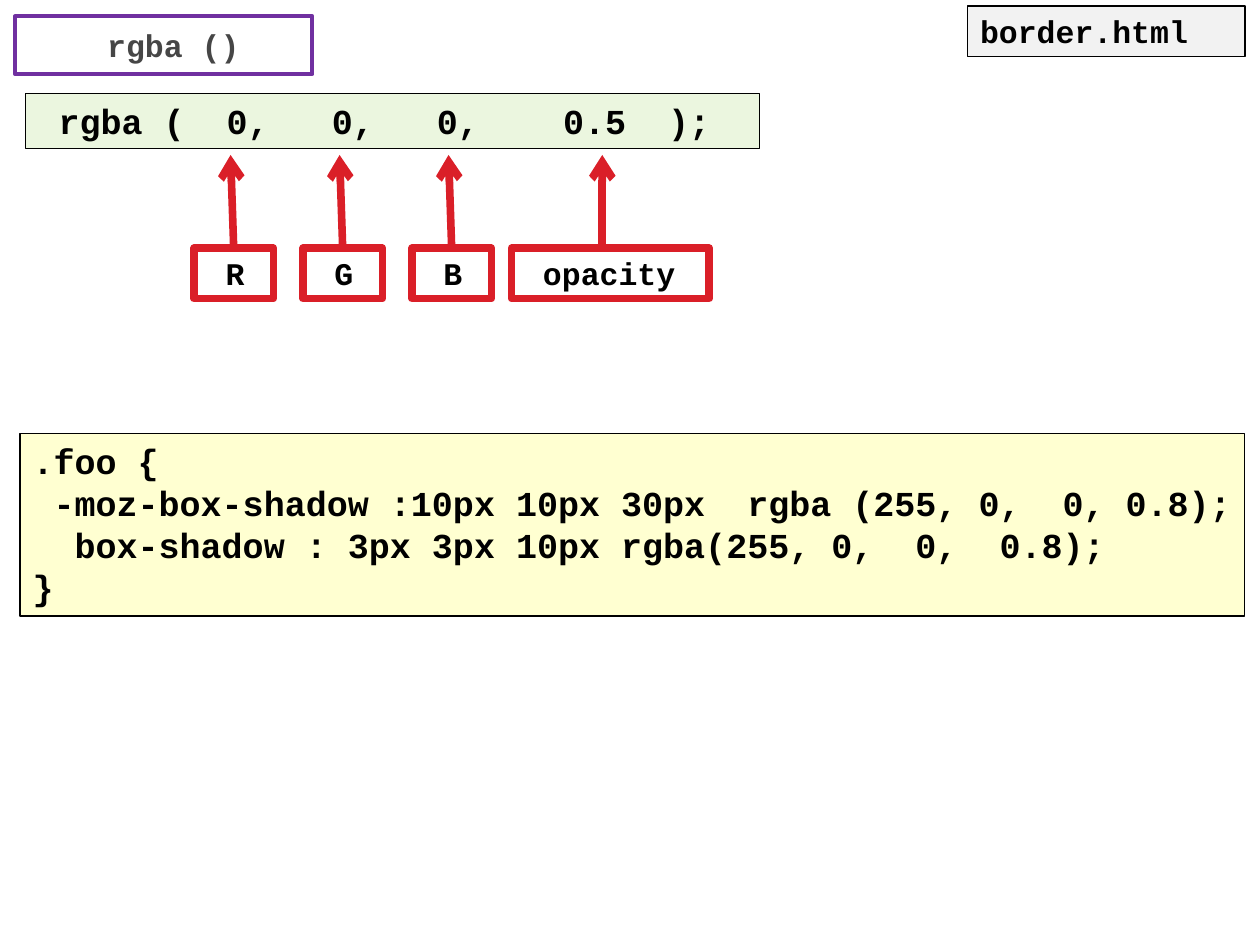
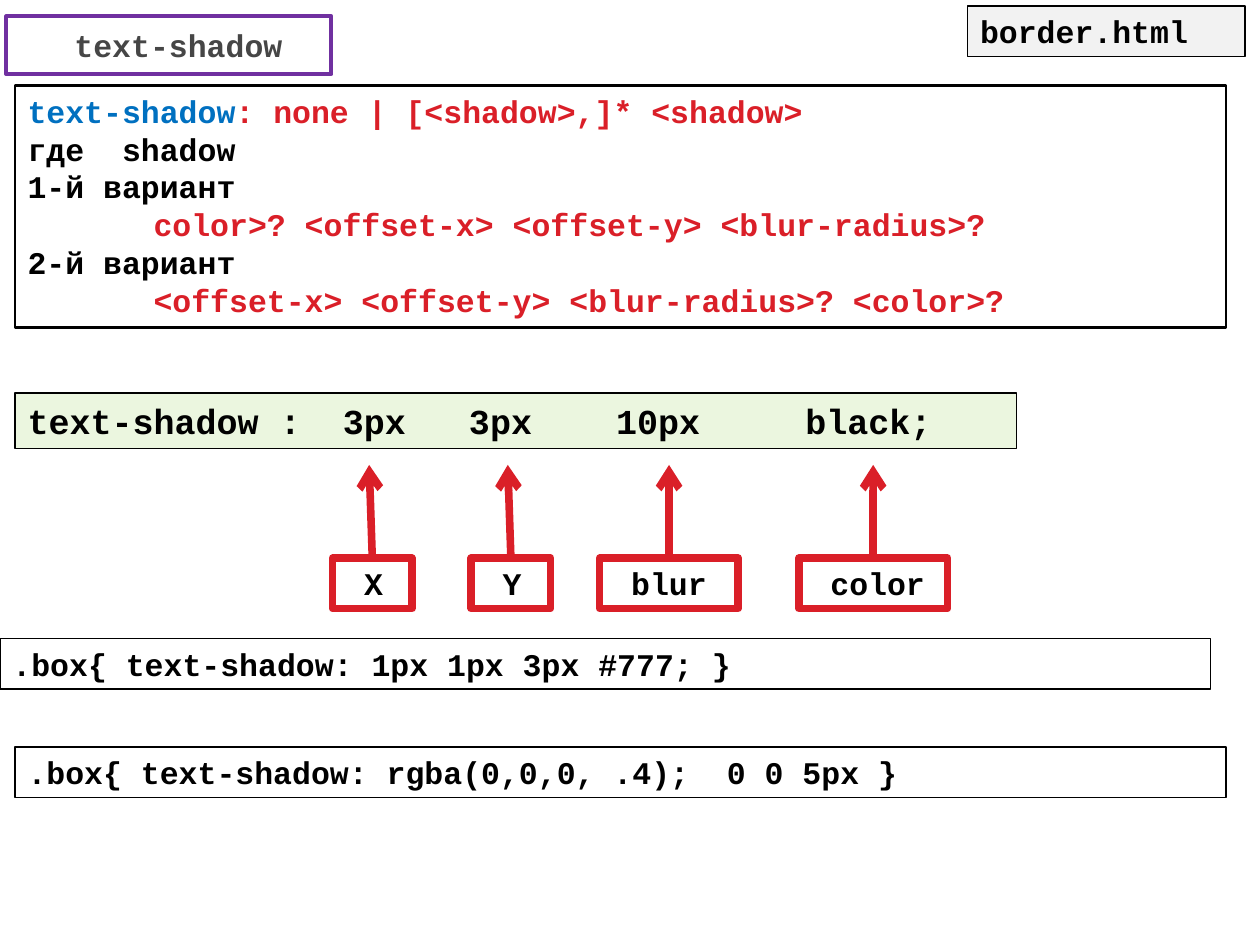
import pptx
import pptx.util
import pptx.dml.color
import pptx.enum.shapes
import pptx.enum.text
import pptx.oxml.ns
from lxml import etree

Inches = pptx.util.Inches
RGBColor = pptx.dml.color.RGBColor

BLACK = RGBColor(0x00, 0x00, 0x00)
WHITE = RGBColor(0xFF, 0xFF, 0xFF)
GRAY = RGBColor(0x46, 0x46, 0x46)
PALE_GRAY = RGBColor(0xF2, 0xF2, 0xF2)
PURPLE = RGBColor(0x70, 0x30, 0xA0)
RED = RGBColor(0xDA, 0x1F, 0x28)
BLUE = RGBColor(0x00, 0x70, 0xC0)
GREEN = RGBColor(0x92, 0xD0, 0x50)
YELLOW = RGBColor(0xFF, 0xFF, 0x00)

FONT = "Courier New"
TINT_ALPHA = 18000
INSET = 0.1
CHARACTER = 0.15
ARROW_WEIGHT = 4.33
ARROW_LENGTH = 0.74


def add_xml(parent, tag, **attributes):
    """Append a drawing element to parent and return it."""
    name = pptx.oxml.ns.qn(tag)
    return etree.SubElement(parent, name, attributes)


def add_run(paragraph, text, size=18, color=BLACK):
    """Append a bold run in the shared font."""
    run = paragraph.add_run()
    run.text = text
    run.font.name = FONT
    run.font.size = pptx.util.Pt(size)
    run.font.bold = True
    run.font.color.rgb = color


def add_box(shapes, box, fill=None, line=BLACK, weight=0.75, tinted=False, inset=INSET):
    """Add an outlined rectangle and return its empty text frame."""
    rectangle = pptx.enum.shapes.MSO_SHAPE.RECTANGLE
    shape = shapes.add_shape(rectangle, *map(Inches, box))
    shape.shadow.inherit = False
    shape.line.color.rgb = line
    shape.line.width = pptx.util.Pt(weight)
    if fill is None:
        shape.fill.background()
    else:
        shape.fill.solid()
        shape.fill.fore_color.rgb = fill
    if tinted:
        color = shape.fill._xPr.find(".//" + pptx.oxml.ns.qn("a:srgbClr"))
        add_xml(color, "a:alpha", val=str(TINT_ALPHA))
    frame = shape.text_frame
    frame.word_wrap = True
    frame.vertical_anchor = pptx.enum.text.MSO_ANCHOR.TOP
    frame.margin_left = Inches(inset)
    frame.margin_right = Inches(0.05)
    frame.paragraphs[0].alignment = pptx.enum.text.PP_ALIGN.LEFT
    return frame


def add_code(slide, box, lines, size=18, fill=None):
    """Add a box of code, tinted when a fill is given."""
    frame = add_box(slide.shapes, box, fill, tinted=fill is not None)
    for index, line in enumerate(lines):
        paragraph = frame.add_paragraph() if index else frame.paragraphs[0]
        paragraph.alignment = pptx.enum.text.PP_ALIGN.LEFT
        add_run(paragraph, line, size)


def add_header(slide, title, left, width):
    """Add the framed title and the file name tag."""
    frame = add_box(slide.shapes, (left, 0.13, width, 0.46), WHITE, PURPLE, 2.25,
                    inset=INSET + CHARACTER)
    frame.margin_right = Inches(INSET)
    frame.vertical_anchor = pptx.enum.text.MSO_ANCHOR.MIDDLE
    frame.paragraphs[0].alignment = pptx.enum.text.PP_ALIGN.CENTER
    add_run(frame.paragraphs[0], title, color=GRAY)
    tag = add_box(slide.shapes, (7.68, 0.05, 2.2, 0.4), PALE_GRAY, weight=1)
    add_run(tag.paragraphs[0], "border.html")


def add_callouts(slide, top, callouts):
    """Add labels, each grouped with an arrow that points up at its value."""
    for text, left, width, tip in callouts:
        shapes = slide.shapes.add_group_shape().shapes
        frame = add_box(shapes, (left, top, width, 0.4), WHITE, RED, ARROW_WEIGHT,
                        inset=INSET + CHARACTER)
        add_run(frame.paragraphs[0], text)
        start = left + width / 2 if len(text) == 1 else tip
        ends = map(Inches, (start, top, tip, top - ARROW_LENGTH))
        straight = pptx.enum.shapes.MSO_CONNECTOR.STRAIGHT
        arrow = shapes.add_connector(straight, *ends)
        arrow.line.color.rgb = RED
        arrow.line.width = pptx.util.Pt(ARROW_WEIGHT)
        add_xml(arrow.line._get_or_add_ln(), "a:tailEnd", type="arrow")
        add_xml(arrow._element.spPr, "a:effectLst")


def add_syntax(slide, box):
    """Add the formal syntax with its two variants."""
    rows = [
        ([("text-shadow", BLUE), (": none | [<shadow>,]* <shadow>", RED)], 0),
        ([("где\tshadow", BLACK)], 0),
        ([("1-й вариант", BLACK)], 0),
        ([("color>? <offset-x> <offset-y> <blur-radius>?", RED)], 1),
        ([("2-й вариант", BLACK)], 0),
        ([("<offset-x> <offset-y> <blur-radius>? <color>?", RED)], 1),
    ]
    frame = add_box(slide.shapes, box, weight=1.5)
    for index, (runs, indent) in enumerate(rows):
        paragraph = frame.add_paragraph() if index else frame.paragraphs[0]
        paragraph.alignment = pptx.enum.text.PP_ALIGN.LEFT
        properties = paragraph._p.get_or_add_pPr()
        properties.set("marL", str(Inches(indent)))
        tabs = add_xml(properties, "a:tabLst")
        add_xml(tabs, "a:tab", pos=str(Inches(5 * CHARACTER)), algn="l")
        for text, color in runs:
            add_run(paragraph, text, color=color)


def build_rgba(slide):
    """Build the slide on the rgba() colour function."""
    add_header(slide, "rgba ()", 0.12, 2.36)
    add_code(slide, (0.2, 0.74, 5.83, 0.44), [" rgba (  0,   0,   0,    0.5  );"], 20, GREEN)
    letters = [(letter, 1.54 + 0.865 * index, 0.63, 1.83 + 0.865 * index)
               for index, letter in enumerate("RGB")]
    add_callouts(slide, 1.97, letters + [("opacity", 4.06, 1.57, 4.78)])
    add_code(slide, (0.16, 3.44, 9.72, 1.45), [
        ".foo {",
        " -moz-box-shadow :10px 10px 30px  rgba (255, 0,  0, 0.8);",
        "  box-shadow : 3px 3px 10px rgba(255, 0,  0,  0.8);",
        "}",
    ], 20, YELLOW)


def build_text_shadow(slide):
    """Build the slide on the text-shadow property."""
    add_header(slide, "text-shadow", 0.05, 2.58)
    add_syntax(slide, (0.12, 0.68, 9.61, 1.92))
    add_code(slide, (0.12, 3.12, 7.95, 0.44),
             ["text-shadow :  3px   3px    10px     black;"], 20, GREEN)
    add_callouts(slide, 4.43, [
        ("X", 2.64, 0.63, 2.93),
        ("Y", 3.74, 0.63, 4.03),
        ("blur", 4.76, 1.1, 5.31),
        ("color", 6.34, 1.18, 6.93),
    ])
    add_code(slide, (0, 5.07, 9.61, 0.4), [".box{ text-shadow: 1px 1px 3px #777; }"])
    add_code(slide, (0.12, 5.93, 9.61, 0.4),
             [".box{ text-shadow: rgba(0,0,0, .4);  0 0 5px }"])


def main():
    """Build both slides and save the presentation."""
    presentation = pptx.Presentation()
    presentation.slide_width = Inches(10)
    presentation.slide_height = Inches(7.5)
    for build in (build_rgba, build_text_shadow):
        build(presentation.slides.add_slide(presentation.slide_layouts[6]))
    presentation.save("out.pptx")


if __name__ == "__main__":
    main()
